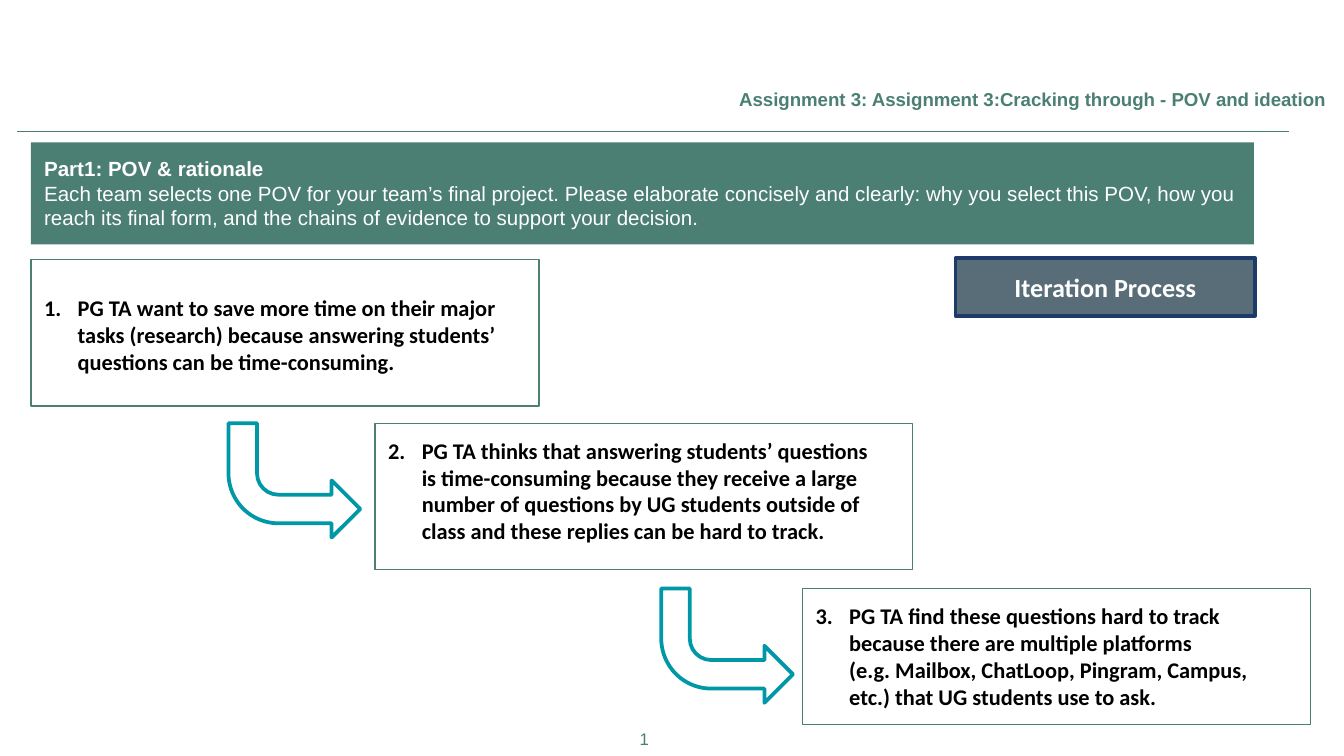
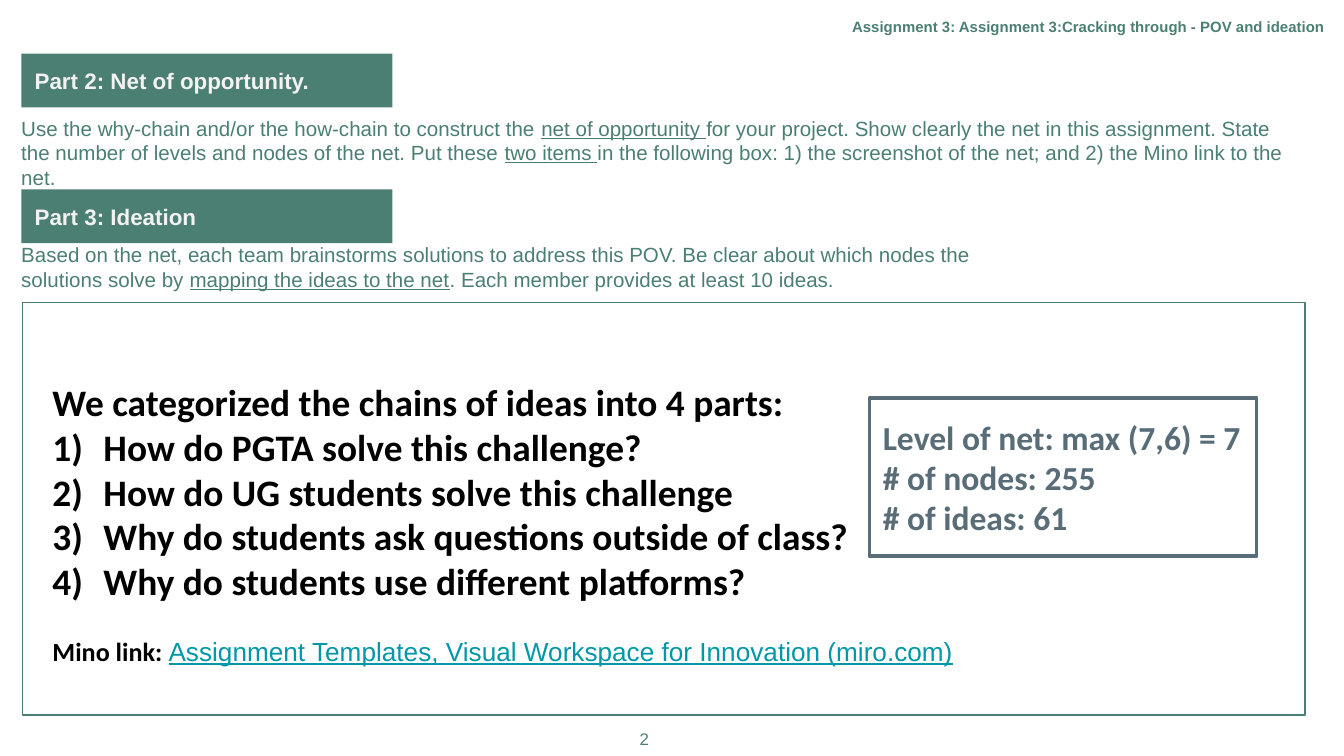
from lxml import etree
from pptx import Presentation
from pptx.dml.color import RGBColor
from pptx.enum import shapes, text
from pptx.oxml.ns import qn
from pptx.util import Inches, Pt

# Content
HARD_SPACE = chr(160)
HEADER = "Assignment 3: Assignment 3:Cracking through - POV and ideation"
POV_TITLE = "Part1: POV & rationale"
POV_BRIEF = ("Each team selects one POV for your team’s final project. Please elaborate concisely "
             "and clearly: why you select this POV, how you reach its final form, and the chains "
             "of evidence to support your decision.")
# Each step: box, left of the arrow leading to it, wording
STEPS = [
    ((0.23, 1.93, 3.78, 1.09), None,
     "PG TA want to save more time on their major tasks (research) because answering "
     "students’ questions can be time-consuming."),
    ((2.79, 3.15, 4.0, 1.09), 1.7,
     "PG TA thinks that answering students’ questions is time-consuming because they receive "
     "a large number of questions by UG students outside of class and these replies can be "
     "hard to track."),
    ((5.97, 4.38, 3.78, 1.01), 4.92,
     "PG TA find these questions hard to track because there are multiple platforms "
     "(e.g." + HARD_SPACE + "Mailbox, ChatLoop, Pingram, Campus, etc.) that UG students "
     "use to ask."),
]
# Each part: top of its band, band title, text box, runs (wording, underlined)
PARTS = [
    (0.4, "Part 2: Net of opportunity.", (0.06, 0.76, 9.73, 0.57), [
        ("Use the why-chain and/or the how-chain to construct the ", False),
        ("net of opportunity ", True),
        ("for your project. Show clearly the net in this assignment. State the number of levels "
         "and nodes of the net. Put these ", False),
        ("two items ", True),
        ("in the following box: 1) the screenshot of the net; and 2) the Mino link to the net.",
         False)]),
    (1.41, "Part 3: Ideation", (0.06, 1.7, 7.7, 0.57), [
        ("Based on the net, each team brainstorms solutions to address this POV. Be clear about "
         "which nodes the solutions solve by ", False),
        ("mapping the ideas to the net", True),
        (". Each member provides at least 10 ideas.", False)]),
]
IDEAS_INTRO = "We categorized the chains of ideas into 4 parts:"
IDEAS = ["How do PGTA solve this challenge?",
         "How do UG students solve this challenge",
         "Why do students ask questions outside of class?",
         "Why do students use different platforms?"]
LINK = ("Mino link: ", "Assignment Templates, Visual Workspace for Innovation (miro.com)")
TOTALS = ["Level of net: max (7,6) = 7", "# of nodes: 255", "# of ideas: 61"]

# Look
COLORS = {"green": "4B7F73", "white": "FFFFFF", "pale": "F2F2F2", "black": "000000",
          "teal": "0097A7", "slate": "586D77", "navy": "1D3A6B"}
BRIEF = {"name": "Arial", "size": 11, "color": "green"}
BAND = {"name": "Arial", "size": 12, "color": "pale", "bold": True}
STEP = {"name": "Calibri", "size": 12, "color": "black", "bold": True}
IDEA = {**STEP, "size": 20}
TOTAL = {**STEP, "size": 18, "color": "slate"}
EVEN = (0.1, 0.1, 0.1, 0.1)
TIGHT = (0.1, 0.05, 0.1, 0.05)

# Widescreen page, 16 to 9
deck = Presentation()
deck.slide_width = Inches(10)
deck.slide_height = deck.slide_width * 9 // 16


def color(name):
    return RGBColor.from_string(COLORS[name])


def inches(lengths):
    return [Inches(length) for length in lengths]


def write(paragraph, wording, look):
    run = paragraph.add_run()
    run.text = wording
    for key, value in look.items():
        if key == "color":
            run.font.color.rgb = color(value)
        else:
            setattr(run.font, key, Pt(value) if key == "size" else value)


def indent(paragraph, width, scheme=None, start=1):
    """Number a paragraph with a hanging indent, or clear its bullet."""
    props = paragraph._p.get_or_add_pPr()
    props.set("marL", str(Inches(width)))
    props.set("indent", str(-Inches(width)))
    if scheme:
        etree.SubElement(props, qn("a:buFont"), typeface="+mj-lt")
        etree.SubElement(props, qn("a:buAutoNum"), type=scheme, startAt=str(start))
    else:
        etree.SubElement(props, qn("a:buNone"))


def frame_of(shape, insets=EVEN, anchor=text.MSO_ANCHOR.TOP):
    frame = shape.text_frame
    frame.word_wrap = True
    frame.auto_size = text.MSO_AUTO_SIZE.NONE
    frame.vertical_anchor = anchor
    for side, inset in zip(("left", "top", "right", "bottom"), insets):
        setattr(frame, "margin_" + side, Inches(inset))
    return frame


def fill_lines(frame, lines, align=text.PP_ALIGN.LEFT):
    """Write one paragraph per line; a line is a list of (wording, look) runs."""
    for index, runs in enumerate(lines):
        paragraph = frame.add_paragraph() if index else frame.paragraphs[0]
        paragraph.alignment = align
        for wording, look in runs:
            write(paragraph, wording, look)
    return frame.paragraphs


def add_box(slide, at, fill=None, line=None, weight=0.75, kind=shapes.MSO_SHAPE.RECTANGLE):
    box = slide.shapes.add_shape(kind, *inches(at))
    box.shadow.inherit = False
    if fill:
        box.fill.solid()
        box.fill.fore_color.rgb = color(fill)
    else:
        box.fill.background()
    if line:
        box.line.color.rgb = color(line)
        box.line.width = Pt(weight)
    else:
        box.line.fill.background()
    return box


def place(shape, at):
    shape.left, shape.top, shape.width, shape.height = inches(at)


def start_slide(layout, header_at, header_size, header_inset):
    """Add a slide with the running header as its title, and its page number."""
    slide = deck.slides.add_slide(deck.slide_layouts[layout])
    header = slide.shapes.title
    place(header, header_at)
    look = {"name": "Arial", "size": header_size, "color": "green", "bold": True}
    fill_lines(frame_of(header, (0.1, header_inset, 0, 0.1)), [[(HEADER, look)]])
    page = slide.shapes.add_textbox(*inches((4.66, 5.32, 0.27, 0.3)))
    fill_lines(frame_of(page, (0, 0.1, 0, 0)),
               [[(str(len(deck.slides)), {**BRIEF, "size": 9})]], text.PP_ALIGN.CENTER)
    return slide


def build_pov_slide():
    slide = start_slide(5, (5.4, 0.57, 4.6, 0.37), 10, 0.08)
    rule = slide.shapes.add_connector(shapes.MSO_CONNECTOR.STRAIGHT,
                                      *inches((0.13, 0.98, 9.59, 0.98)))
    rule.line.color.rgb = color("green")
    rule.line.width = Pt(0.75)
    etree.SubElement(rule._element.spPr, qn("a:effectLst"))

    # Task band
    band = add_box(slide, (0.23, 1.06, 9.1, 0.76), "green")
    look = {**BRIEF, "color": "white"}
    fill_lines(frame_of(band), [[(POV_TITLE, {**look, "bold": True})], [(POV_BRIEF, look)]])

    # Staircase of statements
    for number, (at, arrow_left, wording) in enumerate(STEPS, 1):
        step = add_box(slide, at, "white", "green")
        inset_top = 0.1 if arrow_left else 0.26
        paragraphs = fill_lines(frame_of(step, (0.1, inset_top, 0.25, 0.1)), [[(wording, STEP)]])
        indent(paragraphs[0], 0.25, "arabicPeriod", number)
        if arrow_left:
            arrow = add_box(slide, (arrow_left, at[1], 0.98, 0.85), "white", "teal", 2,
                            shapes.MSO_SHAPE.BENT_ARROW)
            arrow._element.spPr.find(qn("a:xfrm")).set("flipV", "1")

    # Label
    label = add_box(slide, (7.11, 1.92, 2.23, 0.43), "slate", "navy", 2)
    fill_lines(frame_of(label, TIGHT, text.MSO_ANCHOR.MIDDLE),
               [[("Iteration Process", {**STEP, "size": 14, "color": "white"})]],
               text.PP_ALIGN.CENTER)


def build_ideation_slide():
    slide = start_slide(1, (6.24, 0.07, 3.76, 0.34), 8, 0.06)

    # Task bands and their briefs
    for top, title, at, runs in PARTS:
        band = add_box(slide, (0.16, top, 2.76, 0.4), "green")
        fill_lines(frame_of(band), [[(title, BAND)]])
        brief = slide.shapes.add_textbox(*inches(at))
        fill_lines(frame_of(brief),
                   [[(wording, {**BRIEF, "underline": mark}) for wording, mark in runs]])

    # Panel with the list of ideas in front of it
    add_box(slide, (0.17, 2.25, 9.54, 3.07), "white", "green")
    ideas = slide.placeholders[1]
    place(ideas, (0.29, 2.76, 9.28, 2.49))
    slide.shapes._spTree.append(ideas._element)
    label, address = LINK
    link_look = {"name": "Arial", "size": 14, "color": "teal", "underline": True, "bold": False}
    lines = [[(wording, IDEA)] for wording in [IDEAS_INTRO, *IDEAS]]
    lines.append([(label, {**IDEA, "size": 14}), (address, link_look)])
    paragraphs = fill_lines(frame_of(ideas, (0.1, 0.05, 0.1, 0.28), text.MSO_ANCHOR.MIDDLE), lines)
    for index, paragraph in enumerate(paragraphs):
        if 0 < index <= len(IDEAS):
            indent(paragraph, 0.38, "arabicParenR")
        else:
            indent(paragraph, 0)
        paragraph.space_before = Pt(0)
    paragraphs[-1].space_before = Pt(17)

    # Totals
    totals = add_box(slide, (6.47, 2.96, 2.88, 1.18), None, "slate", 2)
    fill_lines(frame_of(totals, TIGHT, text.MSO_ANCHOR.MIDDLE),
               [[(wording, TOTAL)] for wording in TOTALS])


if __name__ == "__main__":
    build_pov_slide()
    build_ideation_slide()
    deck.save("out.pptx")
